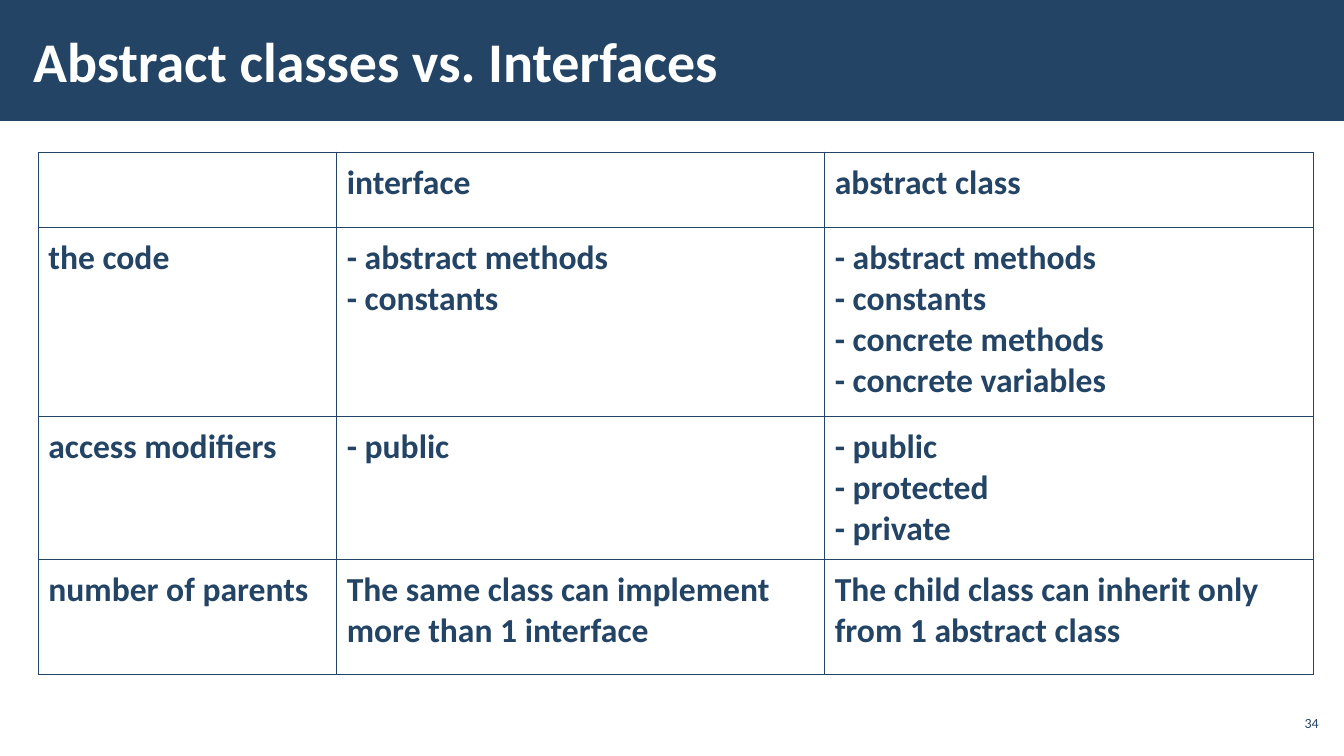
from lxml.etree import SubElement
from pptx import Presentation
from pptx.dml.color import RGBColor
from pptx.enum.shapes import MSO_SHAPE
from pptx.enum.text import MSO_ANCHOR, PP_ALIGN
from pptx.oxml.ns import qn
from pptx.util import Inches, Pt

NAVY = RGBColor(0x23, 0x44, 0x65)
WHITE = RGBColor(0xFF, 0xFF, 0xFF)
FONT = "Calibri"

COL_WIDTHS = [2.96, 4.84, 4.85]
ROW_HEIGHTS = [0.75, 1.87, 1.42, 1.14]
COMPARISON = [
    [[], ["interface"], ["abstract class"]],
    [["the code"],
     ["- abstract methods", "- constants"],
     ["- abstract methods", "- constants", "- concrete methods", "- concrete variables"]],
    [["access modifiers"],
     ["- public"],
     ["- public", "- protected", "- private"]],
    [["number of parents"],
     ["The same class can implement \vmore than 1 interface"],
     ["The child class can inherit only \vfrom 1 abstract class"]],
]


def set_text(tf, text, size, color, bold=False, align=PP_ALIGN.LEFT):
    tf.text = text
    for p in tf.paragraphs:
        p.alignment = align
        p.font.name = FONT
        p.font.size = Pt(size)
        p.font.bold = bold
        p.font.color.rgb = color


def add_label(s, x, y, w, h, text, size, color, side_inset, **style):
    """Add a vertically centred text box."""
    tf = s.shapes.add_textbox(Inches(x), Inches(y), Inches(w), Inches(h)).text_frame
    tf.word_wrap = True
    tf.vertical_anchor = MSO_ANCHOR.MIDDLE
    tf.margin_left = tf.margin_right = Inches(side_inset)
    tf.margin_top = tf.margin_bottom = Inches(0.04)
    set_text(tf, text, size, color, **style)


def add_header(s, x, y, w, h, title):
    band = s.shapes.add_shape(MSO_SHAPE.RECTANGLE, Inches(x), Inches(y), Inches(w), Inches(h))
    band.shadow.inherit = False
    band.fill.solid()
    band.fill.fore_color.rgb = NAVY
    band.line.fill.background()
    add_label(s, x + 0.21, y + 0.11, 10.4, 0.97, title, 40, WHITE, 0.12, bold=True)


def add_borders(cell):
    tc_pr = cell._tc.get_or_add_tcPr()
    for side in ("a:lnL", "a:lnR", "a:lnT", "a:lnB"):
        ln = SubElement(tc_pr, qn(side), w=str(Pt(1)))
        fill = SubElement(ln, qn("a:solidFill"))
        SubElement(fill, qn("a:srgbClr"), val=str(NAVY))


def add_comparison(s, x, y):
    table = s.shapes.add_table(
        len(ROW_HEIGHTS), len(COL_WIDTHS), Inches(x), Inches(y),
        Inches(sum(COL_WIDTHS)), Inches(sum(ROW_HEIGHTS))).table
    table.first_row = table.horz_banding = False
    for col, width in zip(table.columns, COL_WIDTHS):
        col.width = Inches(width)
    for row, height, contents in zip(table.rows, ROW_HEIGHTS, COMPARISON):
        row.height = Inches(height)
        for cell, lines in zip(row.cells, contents):
            add_borders(cell)
            cell.fill.background()
            cell.margin_left = cell.margin_right = Inches(0.1)
            cell.margin_top = cell.margin_bottom = Inches(0.1)
            set_text(cell.text_frame, "\n".join(lines), 24, NAVY, bold=True)


def main():
    prs = Presentation()
    prs.slide_width, prs.slide_height = Inches(13.33), Inches(7.5)
    s = prs.slides.add_slide(prs.slide_layouts[6])
    add_header(s, 0, 0, 13.33, 1.2, "Abstract classes vs. Interfaces")
    add_label(s, 12.65, 7, 0.47, 0.34, "34", 10, NAVY, 0.04, align=PP_ALIGN.RIGHT)
    add_comparison(s, 0.38, 1.51)
    prs.save("out.pptx")


if __name__ == "__main__":
    main()
